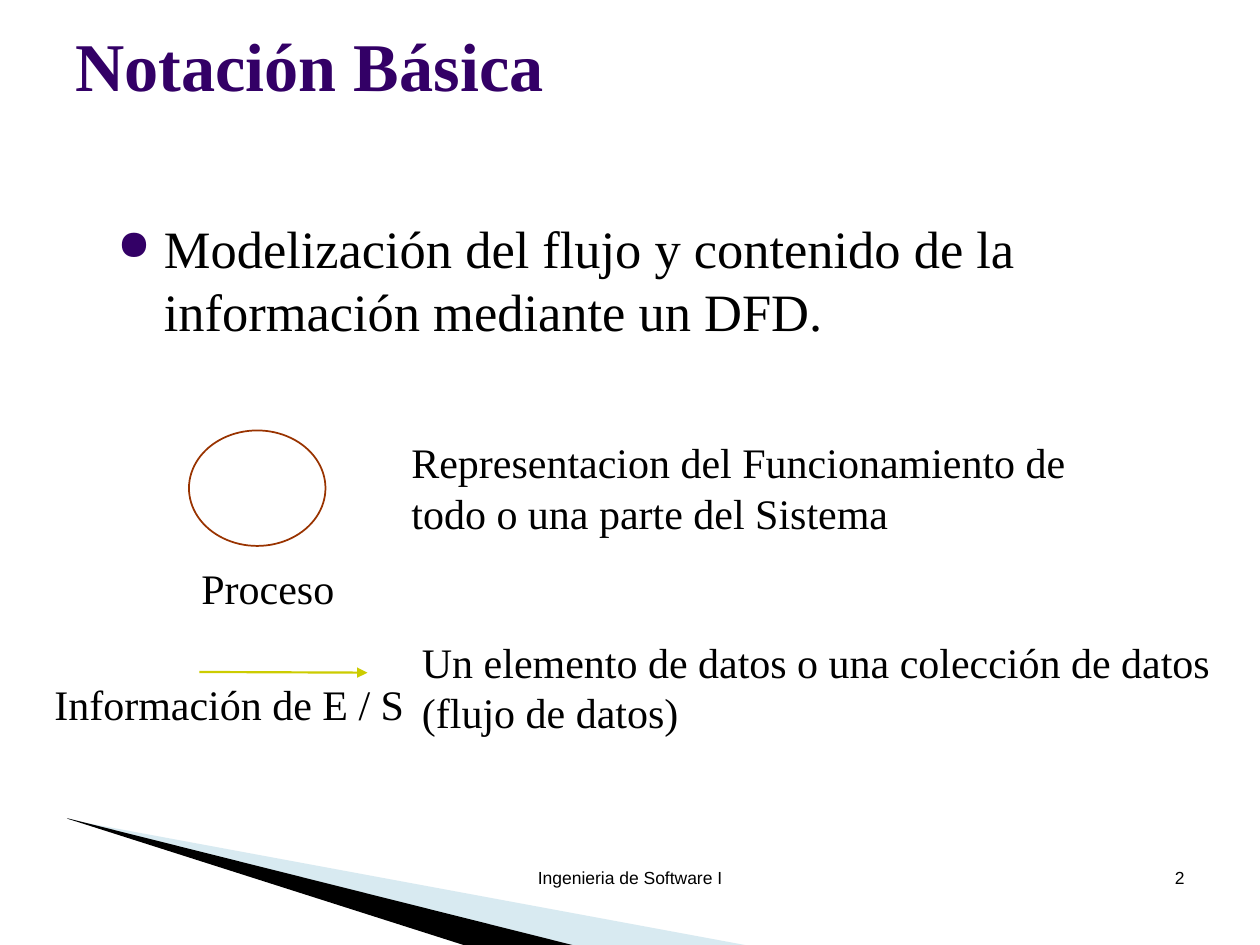
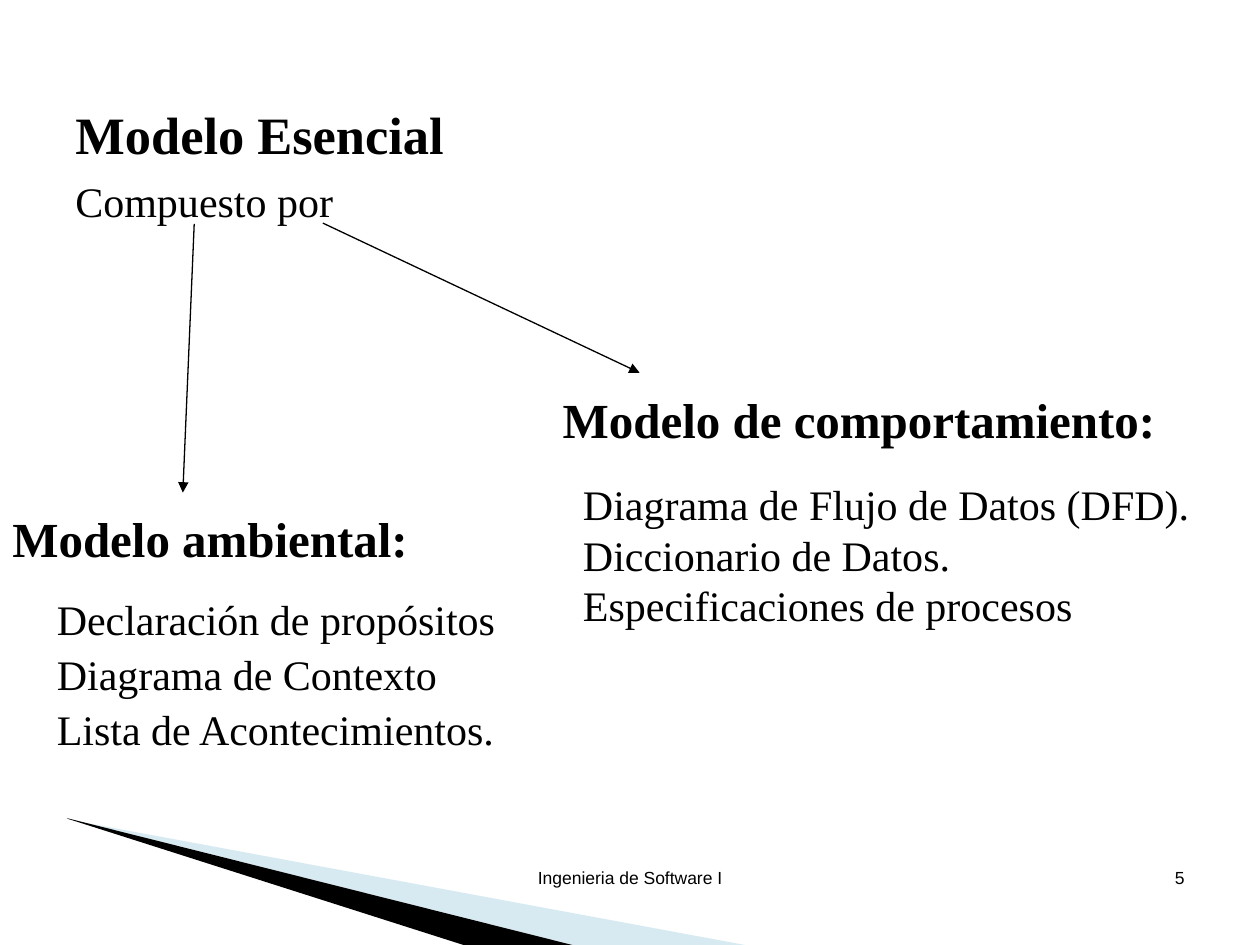
from lxml import etree
from pptx import Presentation
from pptx.dml.color import RGBColor
from pptx.enum.shapes import MSO_CONNECTOR, MSO_SHAPE
from pptx.enum.text import MSO_ANCHOR, PP_ALIGN
from pptx.oxml.ns import qn
from pptx.util import Pt

LEFT, CENTER, RIGHT = PP_ALIGN.LEFT, PP_ALIGN.CENTER, PP_ALIGN.RIGHT
TOP, BOTTOM = MSO_ANCHOR.TOP, MSO_ANCHOR.BOTTOM
STRAIGHT, ELLIPSE = MSO_CONNECTOR.STRAIGHT, MSO_SHAPE.OVAL

SERIF, SANS = "Times New Roman", "Arial"
BLACK, PURPLE, SKY, BROWN, OLIVE = "000000", "330066", "9FCBDC", "993300", "CCCC00"
TITLE, LEAD, HEADING, BODY, FOOTER = 39, 30, 28, 24, 10


def rgb(value):
    return RGBColor.from_string(value)


def add_text(s, box, lines, size=BODY, color=BLACK, bold=False, font=SERIF,
             align=LEFT, anchor=TOP, spacing=None):
    """Place one paragraph per line in box (left, top, width, height)."""
    tf = s.shapes.add_textbox(*map(Pt, box)).text_frame
    tf.word_wrap = True
    tf.vertical_anchor = anchor
    for i, line in enumerate(lines):
        p = tf.paragraphs[0] if i == 0 else tf.add_paragraph()
        p.text = line
        p.alignment = align
        if spacing:
            p.line_spacing = spacing
        p.font.name, p.font.size, p.font.bold = font, Pt(size), bold
        p.font.color.rgb = rgb(color)
    return tf


def add_bullet(p, indent, color, percent):
    pPr = p._p.get_or_add_pPr()
    pPr.set("marL", str(Pt(indent)))
    pPr.set("indent", str(Pt(-indent)))
    bullet_color = etree.Element(qn("a:buClr"))
    etree.SubElement(bullet_color, qn("a:srgbClr"), val=color)
    bullet_size = etree.Element(qn("a:buSzPct"), val=str(percent * 1000))
    bullet = etree.Element(qn("a:buChar"), char="●")
    # Bullet elements come before the paragraph's default run properties
    for position, element in enumerate((bullet_color, bullet_size, bullet)):
        pPr.insert(position, element)


def add_arrow(s, start, end, color=BLACK, width=0.75):
    line = s.shapes.add_connector(STRAIGHT, *map(Pt, start + end))
    line.line.color.rgb = rgb(color)
    line.line.width = Pt(width)
    etree.SubElement(line.line._get_or_add_ln(), qn("a:tailEnd"), type="triangle")
    etree.SubElement(line._element.spPr, qn("a:effectLst"))


def add_wedge(s, points, color, opacity=None):
    points = [(Pt(x), Pt(y)) for x, y in points]
    builder = s.shapes.build_freeform(*points[0])
    builder.add_line_segments(points[1:], close=True)
    sp = builder.convert_to_shape()
    sp.shadow.inherit = False
    sp.line.fill.background()
    sp.fill.solid()
    sp.fill.fore_color.rgb = rgb(color)
    if opacity:
        tone = sp._element.spPr.find(".//" + qn("a:srgbClr"))
        etree.SubElement(tone, qn("a:alpha"), val=str(opacity * 1000))


def add_base(prs, number):
    """New slide with the corner wedges, footer and slide number."""
    s = prs.slides.add_slide(prs.slide_layouts[6])
    add_wedge(s, [(39.6, 468.5), (428.4, 540.5), (328.5, 540.5), (39.6, 468)], SKY, 40)
    add_wedge(s, [(38.2, 467.5), (329, 540.5), (268, 541), (39, 468)], BLACK)
    add_text(s, (246, 492, 228, 36), ["Ingenieria de Software I"], FOOTER,
             font=SANS, align=CENTER)
    add_text(s, (516, 492, 168, 36), [str(number)], FOOTER, font=SANS, align=RIGHT)
    return s


def process_entry(s, x, y):
    """Process symbol, its name and its meaning."""
    sp = s.shapes.add_shape(ELLIPSE, Pt(x), Pt(y), Pt(78), Pt(66))
    sp.shadow.inherit = False
    sp.fill.background()
    sp.line.color.rgb = rgb(BROWN)
    sp.line.width = Pt(1)
    add_text(s, (x + 120, y, 450, 65), ["Representacion del Funcionamiento de",
                                        "todo o una parte del Sistema"])
    add_text(s, (x, y + 72, 96, 36), ["Proceso"])


def flow_entry(s, x, y):
    """Data flow arrow, its name and its meaning."""
    add_arrow(s, (x + 90, y + 24), (x + 186, y + 24.4), OLIVE, 1.25)
    add_text(s, (x, y + 24, 222, 36), ["Información de E / S"])
    add_text(s, (x + 210, y, 486, 65),
             ["Un elemento de datos o una colección de datos (flujo de datos)"])


def notation_slide(prs):
    s = add_base(prs, 2)
    add_text(s, (36, 9.4, 594, 54), ["Notación Básica"], TITLE, PURPLE, True, anchor=BOTTOM)
    tf = add_text(s, (60, 120, 612, 372), ["Modelización del flujo y contenido de la "
                                           "información mediante un DFD."], LEAD)
    add_bullet(tf.paragraphs[0], 26.6, PURPLE, 80)
    process_entry(s, 108, 246)
    flow_entry(s, 24, 360)


def model_part(s, x, y, width, heading, items, items_box, spacing=None):
    """Heading of a partial model with its items below, offset from (x, y)."""
    add_text(s, (x, y, width, 41), [heading], HEADING, bold=True)
    dx, dy, w, h = items_box
    add_text(s, (x + dx, y + dy, w, h), items, spacing=spacing)


def model_slide(prs):
    s = add_base(prs, 5)
    # Whole model
    tf = add_text(s, (36, 55, 648, 428), ["Modelo Esencial", "Compuesto por"])
    head, intro = tf.paragraphs
    head.font.size, head.font.bold = Pt(LEAD), True
    intro.space_before = Pt(6)
    # Arrows to its parts
    add_arrow(s, (111, 128), (104.5, 281.5))
    add_arrow(s, (184.5, 127.5), (365.5, 213))
    # Parts
    model_part(s, 0, 287.2, 266, "Modelo ambiental:",
               ["Declaración de propósitos", "Diagrama de Contexto",
                "Lista de Acontecimientos."],
               (25.4, 45.3, 272, 134), spacing=1.1)
    model_part(s, 314.5, 219, 360, "Modelo de comportamiento:",
               ["Diagrama de Flujo de Datos (DFD).", "Diccionario de Datos.",
                "Especificaciones de procesos"],
               (11.5, 51, 394, 94))


def main():
    prs = Presentation()
    prs.slide_width, prs.slide_height = Pt(720), Pt(540)
    notation_slide(prs)
    model_slide(prs)
    prs.save("out.pptx")


if __name__ == "__main__":
    main()
